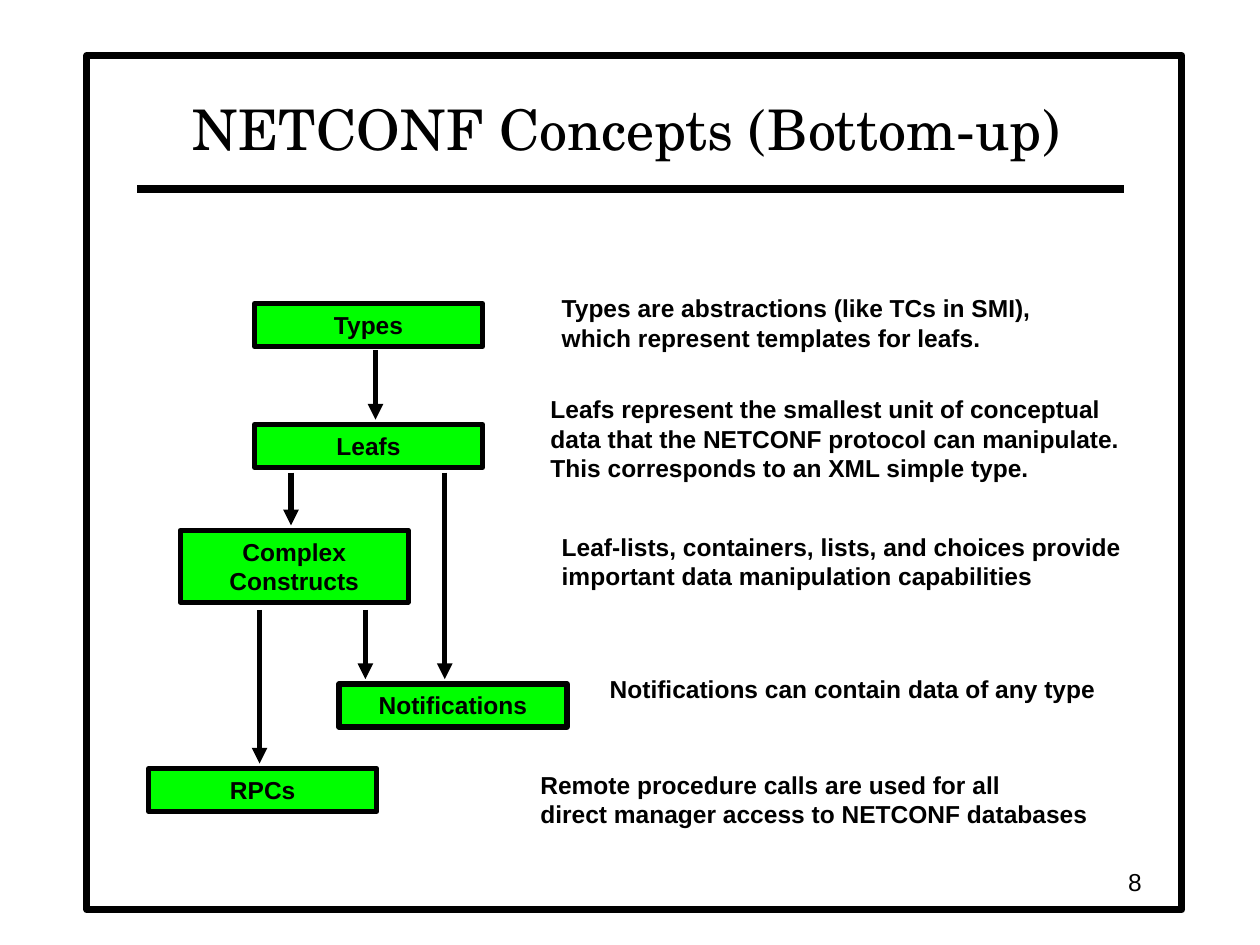
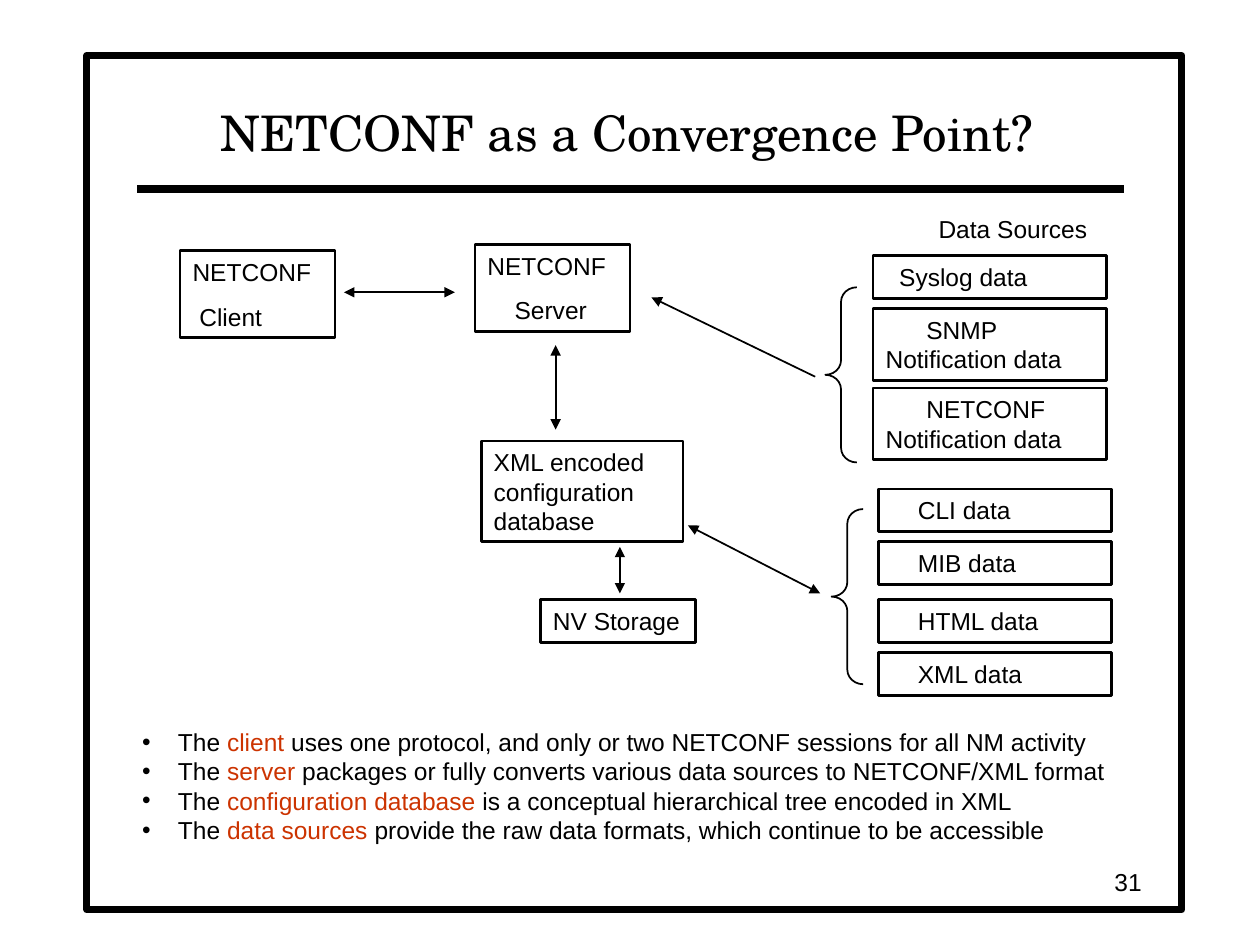
from lxml.etree import SubElement
from pptx import Presentation
from pptx.dml.color import RGBColor
from pptx.enum.shapes import MSO_CONNECTOR as Link, MSO_SHAPE as Shape
from pptx.enum.text import MSO_ANCHOR as Anchor, MSO_AUTO_SIZE as AutoSize, PP_ALIGN as Align
from pptx.oxml.ns import qn
from pptx.util import Inches, Pt

# Grid of 100 columns by 75 rows; every position below counts cells.
COLUMNS, ROWS = 100, 75
CELL = Inches(0.1)
BLACK, WHITE, GREEN, RED = "000000", "FFFFFF", "00FF00", "CC3300"
BODY_FONT, TITLE_FONT = "Arial", "TeX Gyre Schola"
BODY_SIZE = 14
LINE_GAP = 8.7
SPACE = 0.54  # width of one body-text space, in cells
ONE_LINE, TWO_LINES, THREE_LINES = 3.4, 5.7, 8


def cells(*values):
    return [round(value * CELL) for value in values]


def rgb(color):
    return RGBColor.from_string(color)


def style_run(run, color=BLACK, size=BODY_SIZE, bold=False, name=BODY_FONT):
    for key, value in {"size": Pt(size), "bold": bold, "name": name}.items():
        setattr(run.font, key, value)
    run.font.color.rgb = rgb(color)


def indent(paragraph, left=0, first=0):
    """Set the left margin and the first-line indent in cells."""
    margin, first_line = cells(left, first)
    properties = paragraph._p.get_or_add_pPr()
    properties.set("marL", str(margin))
    properties.set("indent", str(first_line))


def set_frame(frame, anchor=Anchor.TOP, wrap=True):
    settings = {"vertical_anchor": anchor, "word_wrap": wrap, "auto_size": AutoSize.NONE}
    for key, value in settings.items():
        setattr(frame, key, value)


def write(paragraph, text, align=Align.LEFT, **font):
    paragraph.text = text
    paragraph.alignment = align
    for run in paragraph.runs:
        style_run(run, **font)
    for line_break in paragraph._p.findall(qn("a:br")):
        SubElement(line_break, qn("a:rPr"), sz=str(BODY_SIZE * 100))


def add_label(slide, at, text, align=Align.LEFT, anchor=Anchor.TOP, wrap=False, bold=False):
    frame = slide.shapes.add_textbox(*cells(*at)).text_frame
    set_frame(frame, anchor, wrap)
    write(frame.paragraphs[0], text, align, bold=bold)


def add_outline(slide, kind, at, width, fill=None):
    outline = slide.shapes.add_shape(kind, *cells(*at))
    outline.shadow.inherit = False
    outline.line.width = Pt(width)
    outline.line.color.rgb = rgb(BLACK)
    if fill:
        outline.fill.solid()
        outline.fill.fore_color.rgb = rgb(fill)
    else:
        outline.fill.background()
    return outline


def add_box(slide, at, lines, width=1.5, fill=None, align=Align.LEFT, bold=False):
    """Draw a box; each line is (text, left margin, first-line indent)."""
    frame = add_outline(slide, Shape.RECTANGLE, at, width, fill).text_frame
    set_frame(frame)
    for number, (text, left, first) in enumerate(lines):
        paragraph = frame.add_paragraph() if number else frame.paragraphs[0]
        indent(paragraph, left, first)
        write(paragraph, text, align, bold=bold)
        if number:
            paragraph.space_before = Pt(LINE_GAP)


def add_line(slide, start, end, width, heads=()):
    """Draw a straight line with triangles at the ends named in heads."""
    line = slide.shapes.add_connector(Link.STRAIGHT, *cells(*start, *end))
    line.line.width = Pt(width)
    line.line.color.rgb = rgb(BLACK)
    properties = line._element.spPr
    for head in heads:
        SubElement(properties.find(qn("a:ln")), qn(f"a:{head}"), type="triangle")
    SubElement(properties, qn("a:effectLst"))
    return line


def add_brace(slide, left, top):
    brace = add_outline(slide, Shape.LEFT_BRACE, (left, top, 2.5, 13.9), 1)
    brace.adjustments[0] = 0.46


def add_bullets(slide, at, items):
    frame = slide.shapes.add_textbox(*cells(*at)).text_frame
    set_frame(frame)
    for number, (term, rest) in enumerate(items):
        paragraph = frame.add_paragraph() if number else frame.paragraphs[0]
        indent(paragraph, 2.84, -2.84)
        properties = paragraph._p.get_or_add_pPr()
        SubElement(properties, qn("a:buFont"), typeface=BODY_FONT)
        SubElement(properties, qn("a:buChar"), char="•")
        for text, color in (("The ", BLACK), (term, RED), (rest, BLACK)):
            run = paragraph.add_run()
            run.text = text
            style_run(run, color)


def titled_slide(deck, title, title_size, number):
    slide = deck.slides.add_slide(deck.slide_layouts[5])
    heading = slide.shapes.title
    heading.left, heading.top, heading.width, heading.height = cells(10.8, 5.8, 77.9, 7.5)
    set_frame(heading.text_frame, Anchor.BOTTOM)
    write(heading.text_frame.paragraphs[0], title, Align.CENTER,
          size=title_size, name=TITLE_FONT)
    add_label(slide, (70.8, 68.3, 20.8, 3.3), number, Align.RIGHT, Anchor.MIDDLE, wrap=True)
    return slide


def share_frame(slide):
    """Put the frame and the title rule on the layout that the slides use."""
    frame = add_outline(slide, Shape.RECTANGLE, (6.9, 4.4, 86.9, 67.8), 4, WHITE)
    rule = add_line(slide, (10.9, 15), (89.2, 15), 4.5)
    layout_tree = slide.slide_layout.shapes.element
    for position, part in enumerate((frame, rule), start=2):
        layout_tree.insert(position, part._element)


def build_concepts(deck):
    slide = titled_slide(deck, "NETCONF Concepts (Bottom-up)", 32, "8")
    share_frame(slide)
    concepts = [
        ("Types", 20.2, 24.1, ONE_LINE),
        ("Leafs", 20.2, 33.7, ONE_LINE),
        ("Complex Constructs", 14.3, 42.1, TWO_LINES),
        ("Notifications", 26.9, 54.3, ONE_LINE),
        ("RPCs", 11.8, 61, ONE_LINE),
    ]
    for name, left, top, height in concepts:
        add_box(slide, (left, top, 18.1, height), [(name, 0, 0)], 3, GREEN, Align.CENTER, True)

    explanations = [
        (43.6, 22.8, 39.4, TWO_LINES,
         "Types are abstractions (like TCs in SMI),\nwhich represent templates for leafs."),
        (42.7, 30.8, 47.2, THREE_LINES,
         "Leafs represent the smallest unit of conceptual\n"
         "data that the NETCONF protocol can manipulate.\n"
         "This corresponds to an XML simple type."),
        (43.6, 41.7, 46.4, TWO_LINES,
         "Leaf-lists, containers, lists, and choices provide\n"
         "important data manipulation capabilities"),
        (47.4, 53, 40.5, ONE_LINE, "Notifications can contain data of any type"),
        (41.9, 60.6, 46, TWO_LINES,
         "Remote procedure calls are used for all\n"
         "direct manager access to NETCONF databases"),
    ]
    for left, top, width, height, text in explanations:
        add_label(slide, (left, top, width, height), text, bold=True)

    below_types, below_leafs, below_complex = 27.8, 37.5, 48.4
    above_leafs, above_complex, above_notifications, above_rpcs = 33.3, 41.7, 53.9, 60.6
    for column, start, end in [
        (29.8, below_types, above_leafs),
        (23.1, below_leafs, above_complex),
        (35.3, below_leafs, above_notifications),
        (29, below_complex, above_notifications),
        (20.6, below_complex, above_rpcs),
    ]:
        add_line(slide, (column, start), (column, end), 3, ["tailEnd"])


def build_convergence(deck):
    slide = titled_slide(deck, "NETCONF as a Convergence Point?", 28, "31")
    add_box(slide, (14.3, 19.9, 12.3, 6.9), [("NETCONF", 0, 0), ("Client", SPACE, 0)])
    add_box(slide, (37.7, 19.4, 12.3, 6.9), [("NETCONF", 0, 0), ("Server", 4 * SPACE, 0)])
    add_box(slide, (38.2, 35, 16, THREE_LINES),
            [("XML encoded configuration database", 0, 0)])
    add_box(slide, (42.9, 47.6, 12.3, ONE_LINE), [("NV Storage", 0, 0)])

    add_label(slide, (73.5, 16.5, 13.8, ONE_LINE), "Data Sources")
    source_width = 18.5
    for text, top, height, spaces in [
        ("Syslog data", 20.3, ONE_LINE, 2),
        ("SNMP Notification data", 24.5, TWO_LINES, 6),
        ("NETCONF Notification data", 30.8, TWO_LINES, 6),
    ]:
        add_box(slide, (69.3, top, source_width, height), [(text, 0, spaces * SPACE)])
    for kind, top in (("CLI", 38.8), ("MIB", 43), ("HTML", 47.6), ("XML", 51.8)):
        add_box(slide, (69.7, top, source_width, ONE_LINE), [(f"{kind} data", 0, 4 * SPACE)])
    add_brace(slide, 65.5, 22.8)
    add_brace(slide, 66, 40.4)

    add_line(slide, (51.7, 23.6), (64.7, 29.9), 1, ["headEnd"])
    for start, end in [
        ((27.3, 23.2), (36.1, 23.2)),
        ((44.1, 34.1), (44.1, 27.4)),
        ((49.2, 47.1), (49.2, 43.4)),
        ((65.1, 47.1), (54.6, 41.7)),
    ]:
        add_line(slide, start, end, 1, ["headEnd", "tailEnd"])

    add_bullets(slide, (10.3, 57.2, 79.4, 10.4), [
        ("client", " uses one protocol, and only or two NETCONF sessions for all NM activity"),
        ("server", " packages or fully converts various data sources to NETCONF/XML format"),
        ("configuration database", " is a conceptual hierarchical tree encoded in XML"),
        ("data sources", " provide the raw data formats, which continue to be accessible"),
    ])


def main():
    deck = Presentation()
    deck.slide_width, deck.slide_height = cells(COLUMNS, ROWS)
    build_concepts(deck)
    build_convergence(deck)
    deck.save("out.pptx")


if __name__ == "__main__":
    main()
